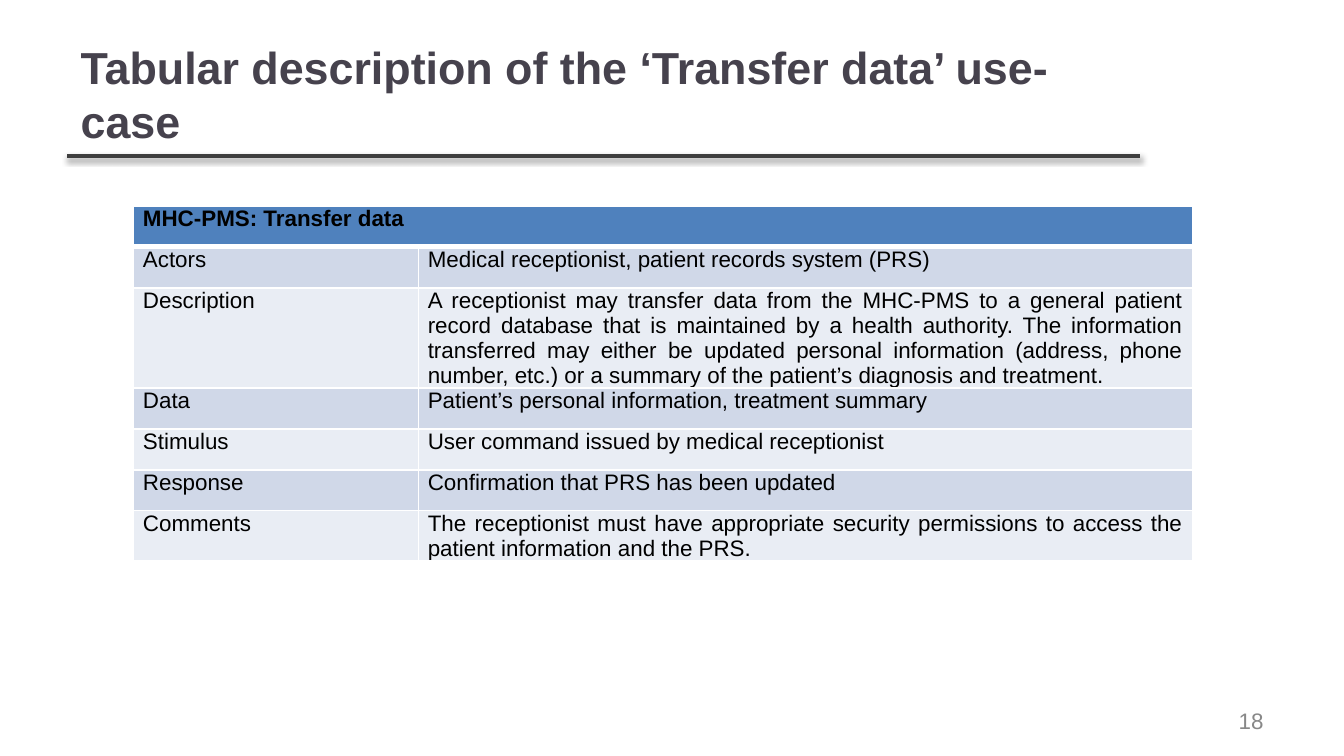
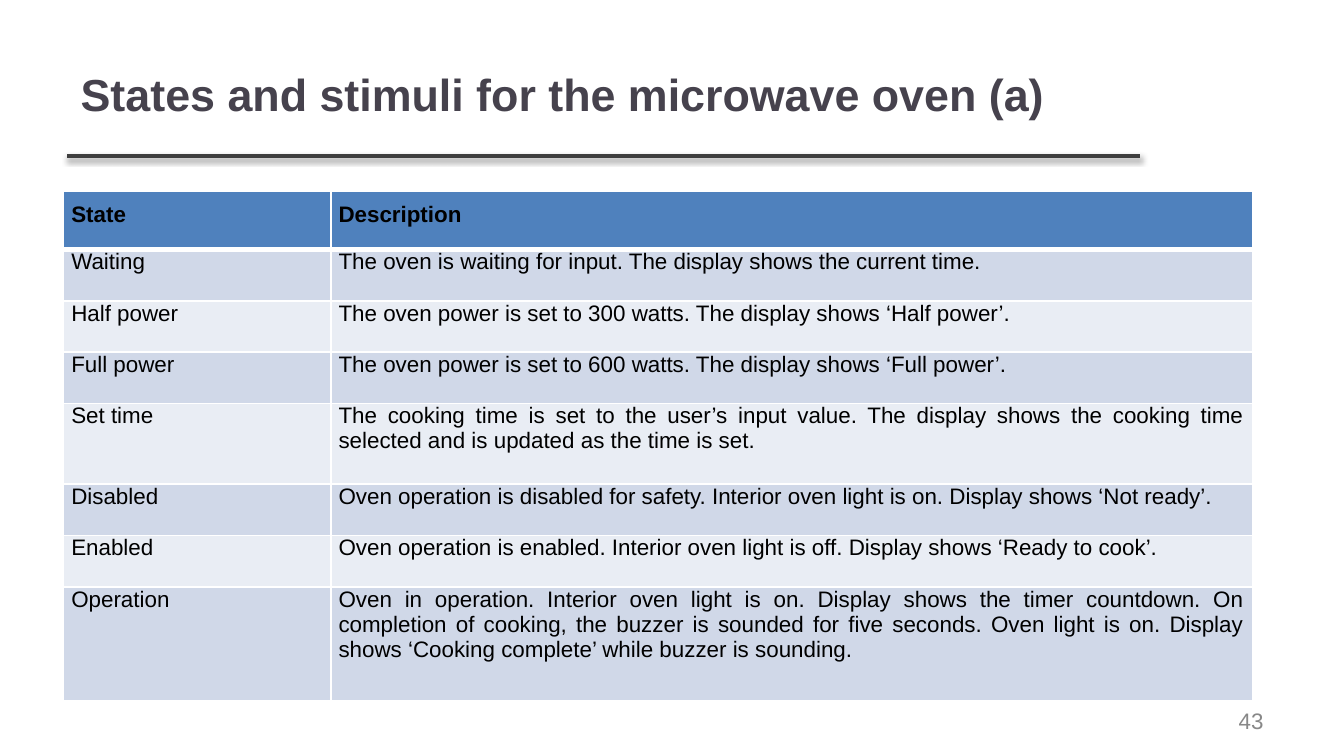
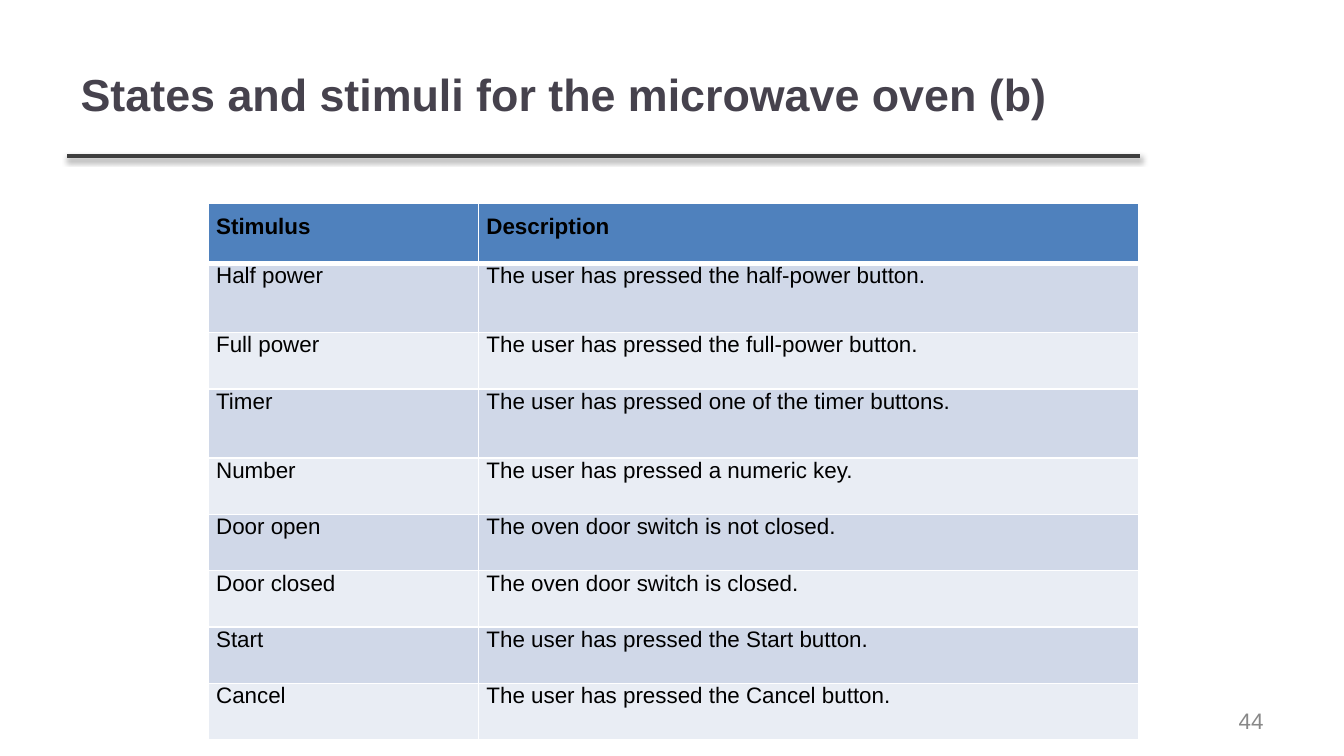
from lxml.etree import SubElement as Sub
from pptx import Presentation
from pptx.dml.color import RGBColor as Rgb
from pptx.enum.shapes import MSO_CONNECTOR as Conn
from pptx.enum.text import MSO_ANCHOR as Anchor, MSO_AUTO_SIZE as Fit, PP_ALIGN as Align
from pptx.oxml.ns import qn
from pptx.util import Pt

HUES = {
    "title": "46424D", "rule": "3F3F3F", "page": "888888", "text": "000000",
    "head": "4F81BD", "odd": "D0D8E8", "even": "E9EDF4", "edge": "FFFFFF",
}
FACE = "Arial"

DATA = [
    ("MHC-PMS: Transfer data", ""),
    ("Actors", "Medical receptionist, patient records system (PRS)"),
    ("Description", "A receptionist may transfer data from the MHC-PMS to a general "
     "patient record database that is maintained by a health authority. The information "
     "transferred may either be updated personal information (address, phone number, "
     "etc.) or a summary of the patient’s diagnosis and treatment."),
    ("Data", "Patient’s personal information, treatment summary"),
    ("Stimulus", "User command issued by medical receptionist"),
    ("Response", "Confirmation that PRS has been updated"),
    ("Comments", "The receptionist must have appropriate security permissions to access "
     "the patient information and the PRS."),
]
STATES = [
    ("State", "Description"),
    ("Waiting", "The oven is waiting for input. The display shows the current time."),
    ("Half power", "The oven power is set to 300 watts. The display shows ‘Half power’."),
    ("Full power", "The oven power is set to 600 watts. The display shows ‘Full power’."),
    ("Set time", "The cooking time is set to the user’s input value. The display shows "
     "the cooking time selected and is updated as the time is set."),
    ("Disabled", "Oven operation is disabled for safety. Interior oven light is on. "
     "Display shows ‘Not ready’."),
    ("Enabled", "Oven operation is enabled. Interior oven light is off. "
     "Display shows ‘Ready to cook’."),
    ("Operation", "Oven in operation. Interior oven light is on. Display shows the timer "
     "countdown. On completion of cooking, the buzzer is sounded for five seconds. Oven "
     "light is on. Display shows ‘Cooking complete’ while buzzer is sounding."),
]
STIMULI = [
    ("Stimulus", "Description"),
    ("Half power", "The user has pressed the half-power button."),
    ("Full power", "The user has pressed the full-power button."),
    ("Timer", "The user has pressed one of the timer buttons."),
    ("Number", "The user has pressed a numeric key."),
    ("Door open", "The oven door switch is not closed."),
    ("Door closed", "The oven door switch is closed."),
    ("Start", "The user has pressed the Start button."),
    ("Cancel", "The user has pressed the Cancel button."),
]


def hue(name):
    return Rgb.from_string(HUES[name])


def style(para, size, color, bold=False, align=Align.LEFT):
    para.alignment = align
    font = para.font
    font.name, font.size, font.bold = FACE, Pt(size), bold
    font.color.rgb = hue(color)


def set_title(slide, text):
    box = slide.shapes.title
    box.left, box.top, box.width, box.height = Pt(36), Pt(16.5), Pt(574.5), Pt(67.5)
    frame = box.text_frame
    frame.text = text
    frame.auto_size = Fit.NONE
    frame.vertical_anchor = Anchor.MIDDLE
    style(frame.paragraphs[0], 24, "title", bold=True)


def add_rule(slide):
    rule = slide.shapes.add_connector(Conn.STRAIGHT, Pt(36), Pt(83.75), Pt(611), Pt(83.75))
    rule.line.color.rgb = hue("rule")
    rule.line.width = Pt(2)
    # Soft shadow below the rule
    fx = Sub(rule._element.spPr, qn("a:effectLst"))
    cast = Sub(fx, qn("a:outerShdw"), blurRad=str(Pt(3.1)), dist=str(Pt(1.6)),
               dir="5400000", rotWithShape="0")
    Sub(Sub(cast, qn("a:srgbClr"), val="000000"), qn("a:alpha"), val="38000")


def add_page(slide, num):
    box = slide.shapes.add_textbox(Pt(516), Pt(375), Pt(168), Pt(21.6))
    frame = box.text_frame
    frame.word_wrap = True
    frame.vertical_anchor = Anchor.MIDDLE
    frame.text = str(num)
    style(frame.paragraphs[0], 12, "page", align=Align.RIGHT)


def set_edges(cell, top, base):
    props = cell._tc.get_or_add_tcPr()
    for side, width in (("L", 1), ("R", 1), ("T", top), ("B", base)):
        line = Sub(props, qn("a:ln" + side), w=str(Pt(width)))
        Sub(Sub(line, qn("a:solidFill")), qn("a:srgbClr"), val=HUES["edge"])


def fill_cell(cell, text, row, side, pad):
    cell.margin_left = cell.margin_right = Pt(side)
    cell.margin_top = Pt(0 if row else pad)
    cell.margin_bottom = Pt(pad)
    set_edges(cell, top=3 if row == 1 else 1, base=1 if row else 3)
    cell.fill.solid()
    cell.fill.fore_color.rgb = hue(("even", "odd")[row % 2] if row else "head")
    cell.text = text
    style(cell.text_frame.paragraphs[0], 12, "text", bold=row == 0, align=Align.JUSTIFY)


def add_grid(slide, rows, left, top, cols, highs, side, pad):
    shape = slide.shapes.add_table(len(rows), len(cols), Pt(left), Pt(top),
                                   Pt(sum(cols)), Pt(sum(highs)))
    grid = shape.table
    for col, width in zip(grid.columns, cols):
        col.width = Pt(width)
    for r, (texts, high) in enumerate(zip(rows, highs)):
        grid.rows[r].height = Pt(high)
        for c, text in enumerate(texts):
            fill_cell(grid.cell(r, c), text, r, side, pad)
    return grid


def add_slide(deck, title, num, *spec_args):
    slide = deck.slides.add_slide(deck.slide_layouts[5])
    add_rule(slide)
    set_title(slide, title)
    grid = add_grid(slide, *spec_args)
    add_page(slide, num)
    return grid


def main():
    deck = Presentation()
    deck.slide_width, deck.slide_height = Pt(720), Pt(405)

    # Use-case table, with its heading across both columns
    grid = add_slide(deck, "Tabular description of the ‘Transfer data’ use-case", 18,
                     DATA, 71.6, 110.4, (152.6, 414.7), [21.9] * 7, 5, 0)
    grid.cell(0, 0).merge(grid.cell(0, 1))

    # Oven states
    add_slide(deck, "States and stimuli for the microwave oven (a)", 43,
              STATES, 34, 102.2, (143.2, 493.9),
              [31.5] + [27.5] * 3 + [43.2] + [27.5] * 2 + [61.2], 4.2, 6)

    # Oven stimuli
    add_slide(deck, "States and stimuli for the microwave oven (b)", 44,
              STIMULI, 111.6, 109, (144.8, 353.5),
              [32.2, 37, 30.2, 37] + [30.2] * 5, 4.2, 6)

    deck.save("out.pptx")


if __name__ == "__main__":
    main()
